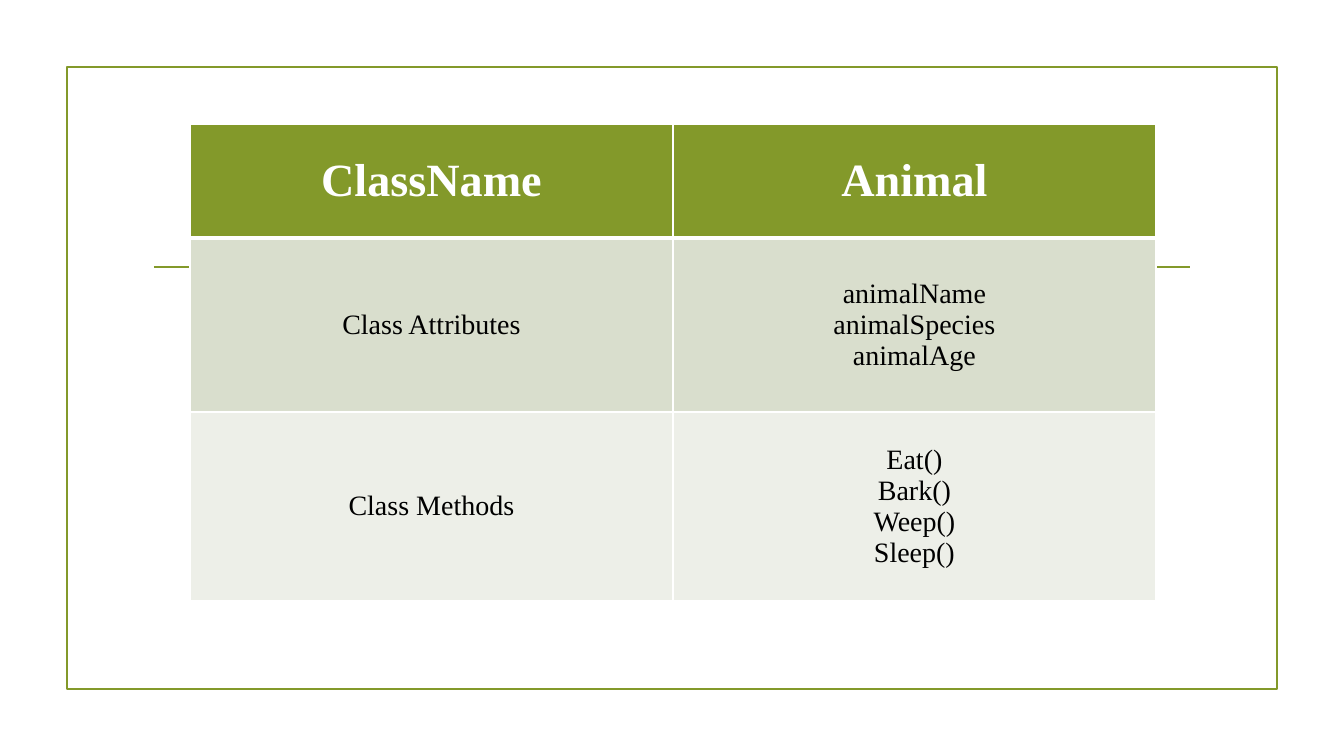
from lxml.etree import SubElement
from pptx import Presentation
from pptx.dml.color import RGBColor
from pptx.enum.shapes import MSO_CONNECTOR as CONN, MSO_SHAPE as SHAPE
from pptx.enum.text import MSO_ANCHOR as ANCHOR, PP_ALIGN as ALIGN
from pptx.oxml.ns import qn
from pptx.util import Pt

EMU_PER_PX = 914400 / 100.8
GREEN, WHITE, BLACK = "83992A", "FFFFFF", "000000"
FONT = "Times New Roman"

HEADER = {"size": Pt(33), "bold": True, "name": FONT}
BODY = {"size": Pt(20), "bold": False, "name": FONT}
MARGINS = {"margin_left": 18, "margin_right": 18, "margin_top": 9, "margin_bottom": 9}

# Each row: height, fill, text colour, font format, lines of each cell
ROWS = [
    (114, GREEN, WHITE, HEADER, [["ClassName"], ["Animal"]]),
    (174, "D9DECD", BLACK, BODY,
     [["Class Attributes"], ["animalName", "animalSpecies", "animalAge"]]),
    (189, "EDEFE8", BLACK, BODY,
     [["Class Methods"], ["Eat()", "Bark()", "Weep()", "Sleep()"]]),
]


def px(n):
    return round(n * EMU_PER_PX)


def rgb(value):
    return RGBColor.from_string(value)


def set_line(line, color, width):
    line.color.rgb = rgb(color)
    line.width = Pt(width)


def add_frame(slide, x, y, w, h):
    sp = slide.shapes.add_shape(SHAPE.RECTANGLE, px(x), px(y), px(w), px(h))
    sp.shadow.inherit = False
    sp.fill.background()
    set_line(sp.line, GREEN, 1.25)


def add_rule(slide, x1, x2, y):
    cn = slide.shapes.add_connector(CONN.STRAIGHT, px(x1), px(y), px(x2), px(y))
    set_line(cn.line, GREEN, 1.25)
    SubElement(cn._element.spPr, qn("a:effectLst"))


def set_borders(cell, widths):
    """Draw white borders; widths maps a side (L, R, T, B) to points."""
    tcPr = cell._tc.get_or_add_tcPr()
    for side, width in widths.items():
        ln = SubElement(tcPr, qn(f"a:ln{side}"), w=str(Pt(width)))
        fill = SubElement(ln, qn("a:solidFill"))
        SubElement(fill, qn("a:srgbClr"), val=WHITE)


def fill_cell(cell, lines, color, fmt):
    cell.vertical_anchor = ANCHOR.MIDDLE
    for name, value in MARGINS.items():
        setattr(cell, name, px(value))
    tf = cell.text_frame
    tf.text = "\n".join(lines)
    for p in tf.paragraphs:
        p.alignment = ALIGN.CENTER
        for r in p.runs:
            r.font.color.rgb = rgb(color)
            for name, value in fmt.items():
                setattr(r.font, name, value)


def add_class_table(slide, x, y, col_w):
    n_cols = len(ROWS[0][-1])
    height = sum(row[0] for row in ROWS)
    table = slide.shapes.add_table(
        len(ROWS), n_cols, px(x), px(y), px(col_w * n_cols), px(height)).table
    for col in table.columns:
        col.width = px(col_w)
    for i, (row_h, fill, color, fmt, texts) in enumerate(ROWS):
        table.rows[i].height = px(row_h)
        # The rule below the header is thicker, on both cells that share it
        widths = {"L": 1, "R": 1, "T": 3 if i == 1 else 1, "B": 3 if i == 0 else 1}
        for j, lines in enumerate(texts):
            cell = table.cell(i, j)
            set_borders(cell, widths)
            cell.fill.solid()
            cell.fill.fore_color.rgb = rgb(fill)
            fill_cell(cell, lines, color, fmt)


def main():
    prs = Presentation()
    prs.slide_width, prs.slide_height = px(1344), px(756)
    slide = prs.slides.add_slide(prs.slide_layouts[6])

    # Page decoration
    add_frame(slide, 67, 67, 1210, 622)
    add_rule(slide, 154, 1190, 267)

    # Class description
    add_class_table(slide, 190, 124, 483)

    prs.save("out.pptx")


if __name__ == "__main__":
    main()
